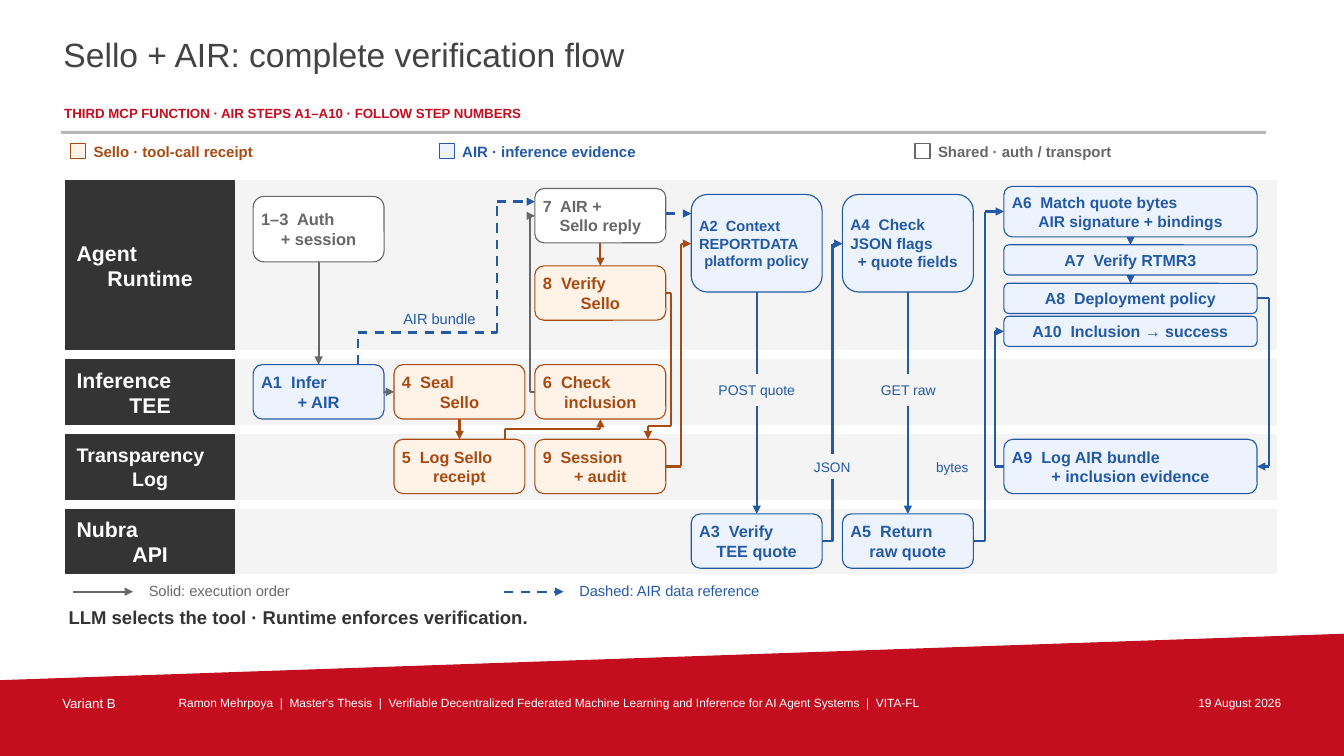
from itertools import pairwise

from lxml.etree import SubElement
from pptx import Presentation
from pptx.dml.color import RGBColor
from pptx.enum.dml import MSO_LINE
from pptx.enum.shapes import MSO_CONNECTOR, MSO_SHAPE
from pptx.enum.text import MSO_ANCHOR, MSO_AUTO_SIZE, PP_ALIGN
from pptx.oxml.ns import qn
from pptx.util import Cm, Pt

RED = RGBColor(0xC4, 0x0D, 0x1E)
WHITE = RGBColor(0xFF, 0xFF, 0xFF)
TITLE_GREY = RGBColor(0x43, 0x43, 0x43)
RULE_GREY = RGBColor(0xB7, 0xB7, 0xB7)
LANE = RGBColor(0xF4, 0xF4, 0xF4)
DARK = RGBColor(0x34, 0x34, 0x34)
ORANGE = RGBColor(0xA8, 0x4B, 0x13)
BLUE = RGBColor(0x24, 0x5A, 0xA5)
GREY = RGBColor(0x68, 0x68, 0x68)
FILLS = {ORANGE: RGBColor(0xFF, 0xF3, 0xE8), BLUE: RGBColor(0xED, 0xF3, 0xFD), GREY: WHITE}
LEFT, CENTER, RIGHT = PP_ALIGN.LEFT, PP_ALIGN.CENTER, PP_ALIGN.RIGHT

# Content; all lengths in cm
TITLE = "Sello + AIR: complete verification flow"
SECTION = "THIRD MCP FUNCTION · AIR STEPS A1–A10 · FOLLOW STEP NUMBERS"
TAKEAWAY = "LLM selects the tool · Runtime enforces verification."
LEGEND = [  # left, text, colour
    (1.78, "Sello · tool-call receipt", ORANGE),
    (11.07, "AIR · inference evidence", BLUE),
    (23.06, "Shared · auth / transport", GREY),
]
LINE_KEYS = [  # left, text, colour, dashed
    (1.85, "Solid: execution order", GREY, False),
    (12.7, "Dashed: AIR data reference", BLUE, True),
]
FOOTER = [  # left, width, text, size, alignment
    (1.52, 2.92, "Variant B", 9.5, LEFT),
    (4.45, 23.75, "Ramon Mehrpoya  |  Master's Thesis  |  Verifiable Decentralized Federated Machine "
     "Learning and Inference for AI Agent Systems  |  VITA-FL", 8.5, LEFT),
    (28.45, 3.89, "19 August 2026", 8.5, RIGHT),
]
LANES = [  # name, height, size
    ("Agent\nRuntime", 4.27, 15.2),
    ("Inference\nTEE", 1.63, 15.2),
    ("Transparency\nLog", 1.63, 14),
    ("Nubra\nAPI", 1.63, 15.2),
]

# Grid shared by the steps and the arrows
LANE_LEFT, LANE_TOP, LANE_WIDTH, LANE_GAP, HEAD_WIDTH = 1.65, 4.55, 30.53, 0.25, 4.27
STEP_W, STEP_H, WIDE_W, SLIM_H, TALL_H = 3.3, 1.37, 6.38, 0.76, 2.46
C1, C2, C3 = (6.38 + 3.55 * i for i in range(3))
C4, C5, C6 = 17.42, 21.23, 25.3
TEE, LOG, API = (9.19 + 1.88 * i for i in range(3))
TEE_MID, LOG_MID, API_MID = (top + STEP_H / 2 for top in (TEE, LOG, API))
MID1, MID2, MID3, MID4, MID5 = (c + STEP_W / 2 for c in (C1, C2, C3, C4, C5))
MID6, END6 = C6 + WIDE_W / 2, C6 + WIDE_W
END1, END3, END4, END5 = (c + STEP_W for c in (C1, C3, C4, C5))
AUTH, REPLY, VERIFY, CHECK = 4.95, 4.75, 6.7, 4.9
A6, A7, A8, A10 = 4.7, 6.17, 7.14, 7.97
A8_MID, A10_MID = A8 + SLIM_H / 2, A10 + SLIM_H / 2

STEPS = [  # text, colour, left, top, width, height, size
    ("1–3  Auth\n+ session", GREY, C1, AUTH, STEP_W, 1.65, 11.8),
    ("A1  Infer\n+ AIR", BLUE, C1, TEE, STEP_W, STEP_H, 11.8),
    ("4  Seal\nSello", ORANGE, C2, TEE, STEP_W, STEP_H, 11.8),
    ("5  Log Sello\nreceipt", ORANGE, C2, LOG, STEP_W, STEP_H, 11.5),
    ("6  Check\ninclusion", ORANGE, C3, TEE, STEP_W, STEP_H, 11.8),
    ("7  AIR +\nSello reply", GREY, C3, REPLY, STEP_W, STEP_H, 11.5),
    ("8  Verify\nSello", ORANGE, C3, VERIFY, STEP_W, STEP_H, 11.8),
    ("9  Session\n+ audit", ORANGE, C3, LOG, STEP_W, STEP_H, 11.5),
    ("A2  Context\nREPORTDATA\nplatform policy", BLUE, C4, CHECK, STEP_W, TALL_H, 10.5),
    ("A3  Verify\nTEE quote", BLUE, C4, API, STEP_W, STEP_H, 11.6),
    ("A4  Check\nJSON flags\n+ quote fields", BLUE, C5, CHECK, STEP_W, TALL_H, 11),
    ("A5  Return\nraw quote", BLUE, C5, API, STEP_W, STEP_H, 11.6),
    ("A6  Match quote bytes\nAIR signature + bindings", BLUE, C6, A6, WIDE_W, 1.27, 11.1),
    ("A7  Verify RTMR3", BLUE, C6, A7, WIDE_W, SLIM_H, 11.4),
    ("A8  Deployment policy", BLUE, C6, A8, WIDE_W, SLIM_H, 11.4),
    ("A9  Log AIR bundle\n+ inclusion evidence", BLUE, C6, LOG, WIDE_W, STEP_H, 11.5),
    ("A10  Inclusion → success", BLUE, C6, A10, WIDE_W, SLIM_H, 11.4),
]
ROUTES = [  # colour, dashed, corner points
    (GREY, False, [(MID1, AUTH + 1.65), (MID1, TEE)]),
    (GREY, False, [(END1, TEE_MID), (C2, TEE_MID)]),
    (ORANGE, False, [(MID2, TEE + STEP_H), (MID2, LOG)]),
    (ORANGE, False, [(12.73, LOG), (12.73, 10.82), (MID3, 10.82), (MID3, TEE + STEP_H)]),
    (GREY, False, [(C3, TEE_MID), (13.36, TEE_MID), (13.36, 5.44), (C3, 5.44)]),
    (ORANGE, False, [(MID3, REPLY + STEP_H), (MID3, VERIFY)]),
    (ORANGE, False, [(END3, 7.39), (16.92, 7.39), (16.92, 10.74), (16.33, 10.74), (16.33, LOG)]),
    (ORANGE, False, [(END3, LOG_MID), (17.17, LOG_MID), (17.17, 6.14), (C4, 6.14)]),
    (BLUE, True, [(9.02, TEE), (9.02, 8.38), (12.52, 8.38), (12.52, 5.08), (C3, 5.08)]),
    (BLUE, True, [(END3, 5.38), (C4, 5.38)]),
    (BLUE, False, [(MID4, CHECK + TALL_H), (MID4, API)]),
    (BLUE, False, [(END4, API_MID), (20.98, API_MID), (20.98, 6.14), (C5, 6.14)]),
    (BLUE, False, [(MID5, CHECK + TALL_H), (MID5, API)]),
    (BLUE, False, [(END5, API_MID), (24.82, API_MID), (24.82, 5.33), (C6, 5.33)]),
    (BLUE, False, [(MID6, A6 + 1.27), (MID6, A7)]),
    (BLUE, False, [(MID6, A7 + SLIM_H), (MID6, A8)]),
    (BLUE, False, [(END6, A8_MID), (31.98, A8_MID), (31.98, LOG_MID), (END6, LOG_MID)]),
    (BLUE, False, [(C6, LOG_MID), (25.07, LOG_MID), (25.07, A10_MID), (C6, A10_MID)]),
]
ROUTE_LABELS = [  # text, left, top, width, height, size, masks its line
    ("AIR bundle", 9.35, 7.77, 3.45, 0.53, 10.5, False),
    ("POST quote", 17.8, 9.45, 2.54, 0.76, 10, True),
    ("GET raw", 21.72, 9.45, 2.34, 0.76, 10, True),
    ("JSON", 20.24, 11.46, 1.47, 0.61, 9.8, True),
    ("bytes", 23.39, 11.53, 1.22, 0.46, 9.7, False),
]

prs = Presentation()
prs.slide_width, prs.slide_height = Cm(33.87), Cm(19.05)
slide = prs.slides.add_slide(prs.slide_layouts[5])


def write(holder, text, size, color, bold=False, align=LEFT, inset=0.0, anchor=MSO_ANCHOR.MIDDLE):
    """Fill the holder; the last line takes the alignment, earlier lines stay left."""
    frame = holder.text_frame
    frame.word_wrap, frame.auto_size = True, MSO_AUTO_SIZE.NONE
    frame.vertical_anchor = anchor
    frame.margin_left = frame.margin_right = Cm(inset)
    frame.margin_top = frame.margin_bottom = Cm(min(inset, 0.05))
    frame.text = text
    for paragraph in frame.paragraphs:
        paragraph.alignment = LEFT
        font = paragraph.font
        font.name, font.size, font.bold = "Arial", Pt(size), bold
        font.color.rgb = color
    paragraph.alignment = align


def label(text, left, top, width, height, size, color, **style):
    box = slide.shapes.add_textbox(Cm(left), Cm(top), Cm(width), Cm(height))
    write(box, text, size, color, **style)


def block(left, top, width, height, fill, line, preset=MSO_SHAPE.RECTANGLE):
    shape = slide.shapes.add_shape(preset, Cm(left), Cm(top), Cm(width), Cm(height))
    shape.shadow.inherit = False
    shape.fill.solid()
    shape.fill.fore_color.rgb = fill
    shape.line.color.rgb = line
    shape.line.width = Pt(0.8)
    return shape


def route(points, color, dashed):
    """Join the points with straight lines and put an arrowhead on the last one."""
    for start, end in pairwise(points):
        leg = slide.shapes.add_connector(MSO_CONNECTOR.STRAIGHT, *map(Cm, start + end))
        leg.line.color.rgb = color
        leg.line.width = Pt(1.7 if dashed else 1.5)
        if dashed:
            leg.line.dash_style = MSO_LINE.DASH
        SubElement(leg._element.spPr, qn("a:effectLst"))
    SubElement(leg.line._get_or_add_ln(), qn("a:tailEnd"), type="triangle")


# Footer band
outline = slide.shapes.build_freeform(0, Cm(17.14))
outline.add_line_segments([(Cm(33.87), Cm(15.97)), (Cm(33.87), Cm(19.05)), (0, Cm(19.05))])
band = outline.convert_to_shape()
band.shadow.inherit = False
band.fill.solid()
band.fill.fore_color.rgb = RED
band.line.fill.background()
for left, width, text, size, align in FOOTER:
    label(text, left, 17.48, width, 0.56, size, WHITE, align=align, inset=0.05, anchor=MSO_ANCHOR.TOP)

# Heading
title = slide.shapes.title
title.left, title.top, title.width, title.height = Cm(1.55), Cm(0.81), Cm(24.51), Cm(1.57)
write(title, TITLE, 24, TITLE_GREY, inset=0.05, anchor=MSO_ANCHOR.TOP)
label(SECTION, 1.57, 2.59, 24.64, 0.56, 9.5, RED, bold=True, inset=0.05, anchor=MSO_ANCHOR.TOP)
block(1.55, 3.3, 30.35, 0.05, RULE_GREY, RULE_GREY).line.width = Pt(0.5)

# Colour legend
for left, text, color in LEGEND:
    block(left, 3.61, 0.38, 0.38, FILLS[color], color)
    label(text, left + 0.58, 3.53, 8.7, 0.58, 10.7, color, bold=True)

# Swimlanes
lane_top = LANE_TOP
for name, height, size in LANES:
    block(LANE_LEFT, lane_top, LANE_WIDTH, height, LANE, LANE)
    head = block(LANE_LEFT, lane_top, HEAD_WIDTH, height, DARK, DARK)
    write(head, name, size, WHITE, bold=True, align=CENTER, inset=0.28)
    lane_top += height + LANE_GAP

# Arrows, steps and arrow labels
for color, dashed, points in ROUTES:
    route(points, color, dashed)
for text, color, left, top, width, height, size in STEPS:
    step = block(left, top, width, height, FILLS[color], color, MSO_SHAPE.ROUNDED_RECTANGLE)
    corner = 0.29 * height / 6  # text inset that the rounded corner already gives
    write(step, text, size, color, bold=True, align=CENTER, inset=0.2 - corner)
for text, left, top, width, height, size, masks in ROUTE_LABELS:
    if masks:
        write(block(left, top, width, height, LANE, LANE), text, size, BLUE, align=CENTER)
    else:
        label(text, left, top, width, height, size, BLUE, align=CENTER)

# Line legend and takeaway
for left, text, color, dashed in LINE_KEYS:
    route([(left, 14.91), (left + 1.5, 14.91)], color, dashed)
    label(text, left + 1.9, 14.63, 8, 0.53, 10.5, color)
label(TAKEAWAY, 1.73, 15.24, 30.43, 0.64, 13.2, DARK, bold=True)

prs.save("out.pptx")
